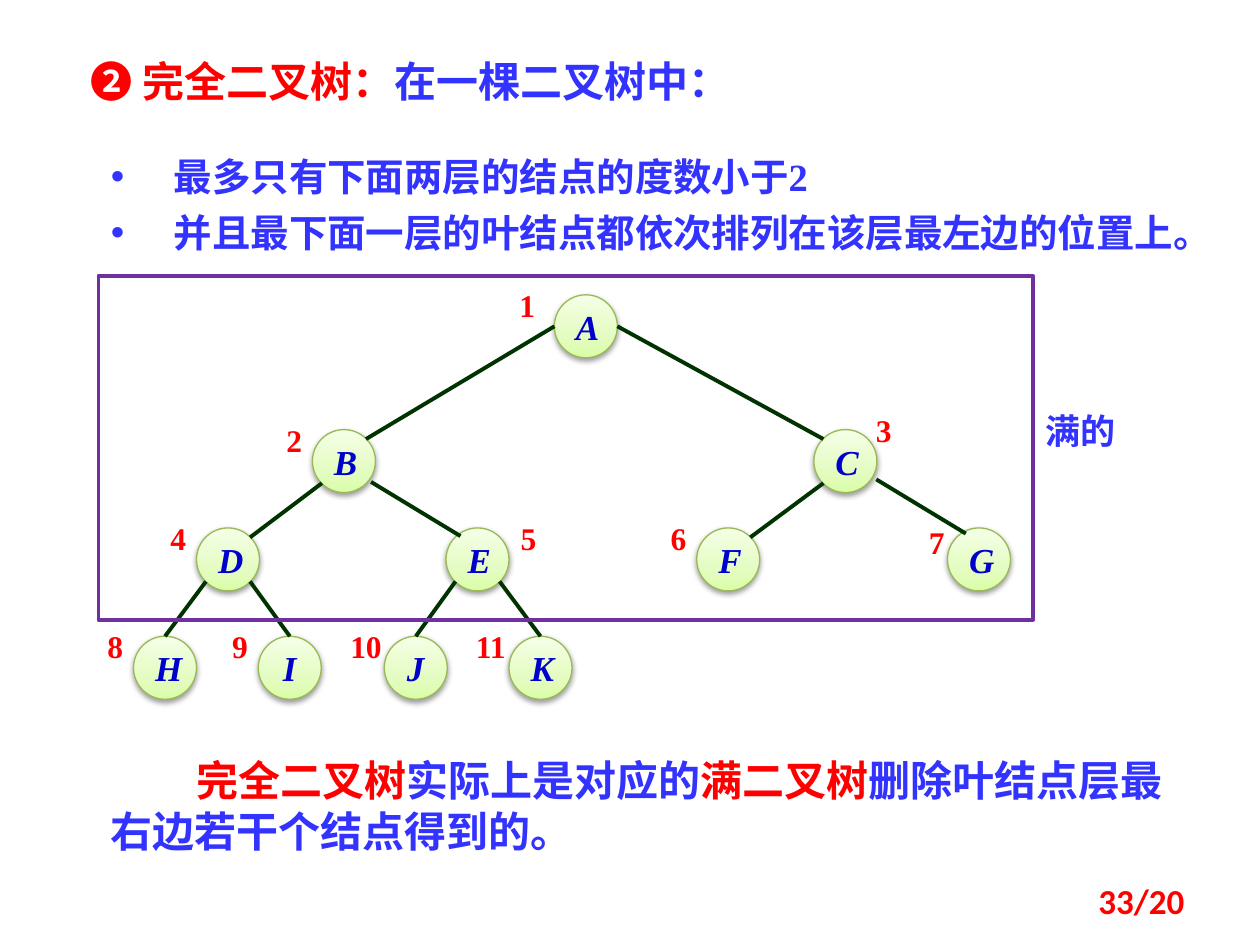
from collections import namedtuple
from dataclasses import dataclass

from lxml import etree
from pptx import Presentation
from pptx.dml.color import RGBColor
from pptx.enum import shapes, text
from pptx.oxml import ns
from pptx.util import Inches, Pt

Box = namedtuple("Box", "left top width height")


@dataclass(frozen=True)
class Theme:
    blue: str = "3333FF"
    red: str = "FF0000"
    letter: str = "0000CC"
    edge: str = "003300"
    frame: str = "7030A0"
    node_line: str = "98B955"
    node_stops: tuple = ((0, "DAFDA7"), (35, "E4FCC2"), (100, "F5FFE7"))
    heading_size: int = 24
    list_size: int = 22
    node_size: int = 20
    number_size: int = 18
    serif: str = "Times New Roman"
    chinese: str = "Noto Sans CJK SC"
    page: str = "Calibri"


THEME = Theme()
NODE = 0.5
LEFT_OF_NODE = (-0.36, -0.07)

# Level order: letter, left and top in the tree's box, offset of the number
NODES = (
    ("A", 3.62, 0.15, (-0.43, -0.07)),
    ("B", 1.70, 1.22, LEFT_OF_NODE),
    ("C", 5.68, 1.22, (0.34, -0.15)),
    ("D", 0.78, 2.00, LEFT_OF_NODE),
    ("E", 2.76, 2.00, (0.44, -0.07)),
    ("F", 4.75, 2.00, LEFT_OF_NODE),
    ("G", 6.74, 2.00, (-0.30, -0.04)),
    ("H", 0.28, 2.86, LEFT_OF_NODE),
    ("I", 1.27, 2.86, LEFT_OF_NODE),
    ("J", 2.27, 2.86, LEFT_OF_NODE),
    ("K", 3.26, 2.86, LEFT_OF_NODE),
)

# Points on a node, as fractions of its size
SITES = {
    "top": (0.5, 0), "left": (0, 0.5), "right": (1, 0.5),
    "top left": (0.15, 0.15), "top right": (0.85, 0.15),
    "bottom left": (0.15, 0.85), "bottom right": (0.85, 0.85),
}
EDGE_SHIFTS = {"E": (0.04, -0.01), "G": (0.07, -0.03)}


def color(value):
    return RGBColor.from_string(value)


def place(shape, box):
    for name, value in box._asdict().items():
        setattr(shape, name, Inches(value))


def add_run(paragraph, content, size, fill, font=THEME.serif, **formats):
    run = paragraph.add_run()
    run.text = content
    values = {"name": font, "size": Pt(size), "bold": True, **formats}
    for name, value in values.items():
        setattr(run.font, name, value)
    run.font.color.rgb = color(fill)
    east_asian = etree.SubElement(run.font._element, ns.qn("a:ea"))
    east_asian.set("typeface", THEME.chinese)


def format_frame(frame, **formats):
    values = {"word_wrap": True, "auto_size": text.MSO_AUTO_SIZE.NONE,
              "vertical_anchor": text.MSO_ANCHOR.TOP, **formats}
    for name, value in values.items():
        setattr(frame, name, value)
    return frame.paragraphs[0]


def add_text(slide, box, **formats):
    """Add a text box and return its first paragraph."""
    shape = slide.shapes.add_textbox(*map(Inches, box))
    return format_frame(shape.text_frame, **formats)


def add_title(slide, box):
    title = slide.shapes.title
    place(title, box)
    paragraph = format_frame(title.text_frame)
    paragraph.alignment = text.PP_ALIGN.LEFT
    add_run(paragraph, "❷ 完全二叉树：", THEME.heading_size, THEME.red, THEME.chinese)
    add_run(paragraph, "在一棵二叉树中：", THEME.heading_size, THEME.blue)


def add_conditions(slide, box):
    body = slide.placeholders[1]
    place(body, box)
    frame = body.text_frame
    paragraph = format_frame(frame)
    conditions = ("最多只有下面两层的结点的度数小于2",
                  "并且最下面一层的叶结点都依次排列在该层最左边的位置上。")
    for index, condition in enumerate(conditions):
        if index:
            paragraph = frame.add_paragraph()
        properties = paragraph._p.get_or_add_pPr()
        properties.set("marL", str(Inches(0.5)))
        properties.set("indent", str(-Inches(0.5)))
        etree.SubElement(properties, ns.qn("a:buFont")).set("typeface", "Arial")
        etree.SubElement(properties, ns.qn("a:buChar")).set("char", "•")
        paragraph.line_spacing = Pt(32)
        paragraph.space_before = Pt(0)
        add_run(paragraph, condition, THEME.list_size, THEME.blue)


def style_node(shape):
    """Give a node its three-stop gradient, outline and soft shadow."""
    shape.fill.gradient()
    shape.fill.gradient_angle = 90
    stops = shape._element.spPr.find(".//" + ns.qn("a:gsLst"))
    for stop in list(stops):
        stops.remove(stop)
    for position, value in THEME.node_stops:
        stop = etree.SubElement(stops, ns.qn("a:gs"), pos=str(position * 1000))
        etree.SubElement(stop, ns.qn("a:srgbClr"), val=value)
    shape.line.color.rgb = color(THEME.node_line)
    shape.line.width = Pt(0.75)
    shape.shadow.inherit = False
    effects = shape._element.spPr.find(ns.qn("a:effectLst"))
    shadow = etree.SubElement(effects, ns.qn("a:outerShdw"), blurRad="40000",
                              dist="20000", dir="5400000", rotWithShape="0")
    black = etree.SubElement(shadow, ns.qn("a:srgbClr"), val="000000")
    etree.SubElement(black, ns.qn("a:alpha"), val="38000")


def add_node(slide, left, top, letter, number, offset):
    shape = slide.shapes.add_shape(shapes.MSO_SHAPE.OVAL,
                                   *map(Inches, (left, top, NODE, NODE)))
    style_node(shape)
    paragraph = format_frame(shape.text_frame,
                             vertical_anchor=text.MSO_ANCHOR.MIDDLE)
    paragraph.alignment = text.PP_ALIGN.CENTER
    add_run(paragraph, letter, THEME.node_size, THEME.letter, italic=True)

    margins = dict.fromkeys(
        ("margin_left", "margin_top", "margin_right", "margin_bottom"), 0)
    label = Box(left + offset[0], top + offset[1], 0.43, 0.31)
    paragraph = add_text(slide, label, **margins)
    paragraph.alignment = text.PP_ALIGN.CENTER
    add_run(paragraph, str(number), THEME.number_size, THEME.red)


def add_edge(slide, box, child):
    """Join the node at index child to its parent in level order."""
    parent = (child - 1) // 2
    side, other = ("left", "right") if child % 2 else ("right", "left")
    start = side if parent == 0 else f"bottom {side}"
    end = "top" if child >= 7 else f"top {other}"
    shift = EDGE_SHIFTS.get(NODES[child][0], (0, 0))
    points = []
    for index, site in ((parent, start), (child, end)):
        for axis in (0, 1):
            points.append(box[axis] + NODES[index][axis + 1]
                          + SITES[site][axis] * NODE + shift[axis])
    line = slide.shapes.add_connector(shapes.MSO_CONNECTOR.STRAIGHT,
                                      *map(Inches, points))
    line.line.color.rgb = color(THEME.edge)
    line.line.width = Pt(2.25)
    etree.SubElement(line._element.spPr, ns.qn("a:effectLst"))


def add_tree(slide, box):
    for number, (letter, left, top, offset) in enumerate(NODES, 1):
        add_node(slide, box.left + left, box.top + top, letter, number, offset)
    for child in range(1, len(NODES)):
        add_edge(slide, box, child)


def add_full_part(slide, box):
    """Frame the full levels of the tree and name them at the right."""
    frame = slide.shapes.add_shape(shapes.MSO_SHAPE.RECTANGLE, *map(Inches, box))
    frame.shadow.inherit = False
    frame.fill.background()
    frame.line.color.rgb = color(THEME.frame)
    frame.line.width = Pt(2)
    label = Box(box.left + box.width, box.top + 1.01, 0.86, 0.44)
    add_run(add_text(slide, label), "满的", THEME.node_size, THEME.blue)


def add_conclusion(slide, box):
    paragraph = add_text(slide, box)
    paragraph._p.get_or_add_pPr().set("indent", str(Inches(0.68)))
    parts = (("完全二叉树", THEME.red), ("实际上是对应的", THEME.blue),
             ("满二叉树", THEME.red), ("删除叶结点层最右边若干个结点得到的。", THEME.blue))
    for content, fill in parts:
        add_run(paragraph, content, THEME.heading_size, fill)


def add_page_number(slide, box):
    paragraph = add_text(slide, box, vertical_anchor=text.MSO_ANCHOR.MIDDLE)
    paragraph.alignment = text.PP_ALIGN.RIGHT
    add_run(paragraph, "33/20", THEME.node_size, THEME.red, THEME.page)


def main():
    presentation = Presentation()
    presentation.slide_width, presentation.slide_height = Inches(10), Inches(7.5)
    slide = presentation.slides.add_slide(presentation.slide_layouts[1])
    tree_box = Box(0.78, 2.19, 7.42, 2.73)
    add_title(slide, Box(0.62, 0.39, 6.33, 0.5))
    add_conditions(slide, Box(0.78, 1.09, 9.06, 1))
    add_tree(slide, tree_box)
    add_page_number(slide, Box(7.17, 6.95, 2.33, 0.4))
    add_conclusion(slide, Box(0.78, 5.94, 8.67, 0.91))
    add_full_part(slide, tree_box)
    presentation.save("out.pptx")


if __name__ == "__main__":
    main()
